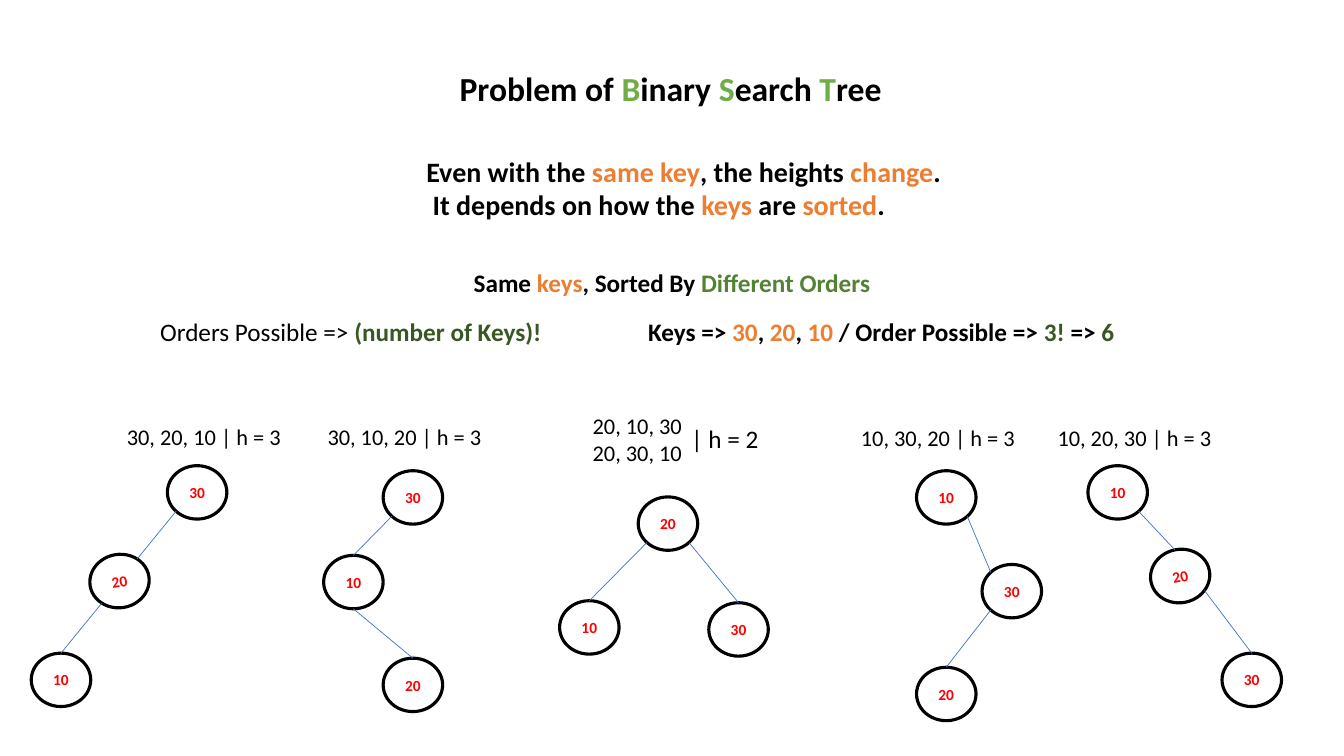
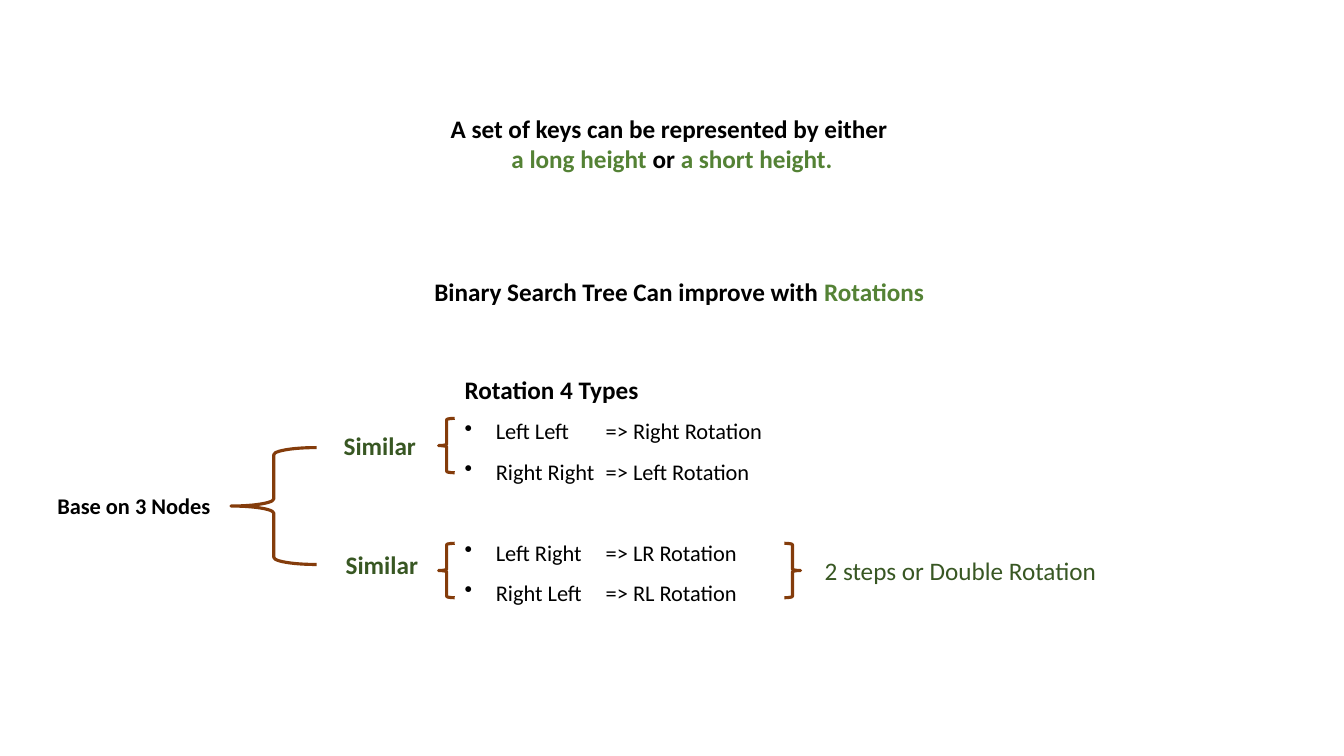
import math
import lxml.etree
import pptx
import pptx.dml.color
import pptx.enum.shapes
import pptx.enum.text
import pptx.oxml.ns
import pptx.util

Inches = pptx.util.Inches
Pt = pptx.util.Pt
Shape = pptx.enum.shapes.MSO_SHAPE
Align = pptx.enum.text.PP_ALIGN
qn = pptx.oxml.ns.qn

COLORS = {"black": "000000", "white": "FFFFFF", "red": "FF0000",
          "blue": "4472C4", "orange": "ED7D31", "brown": "843C0B",
          "lime": "70AD47", "green": "548235", "dark": "385723"}
FACE = "Calibri"
NODE_W, NODE_H = 0.59, 0.53
PORTS = {"n": -90, "ne": -45, "se": 45, "s": 90, "sw": 135, "nw": -135}


def tint(name):
    return pptx.dml.color.RGBColor.from_string(COLORS[name])


def apply(target, values):
    for name, value in values.items():
        setattr(target, name, value)


def port(node, side):
    key, left, top, turn = node
    theta, tilt = math.radians(PORTS[side]), math.radians(turn)
    dx, dy = NODE_W / 2 * math.cos(theta), NODE_H / 2 * math.sin(theta)
    return (left + NODE_W / 2 + dx * math.cos(tilt) - dy * math.sin(tilt),
            top + NODE_H / 2 + dx * math.sin(tilt) + dy * math.cos(tilt))


class Deck:
    def __init__(self):
        self.show = pptx.Presentation()
        apply(self.show, {"slide_width": Inches(13.33), "slide_height": Inches(7.5)})
        self.slide = None

    def page(self):
        self.slide = self.show.slides.add_slide(self.show.slide_layouts[6])

    def runs(self, para, parts, size, bold):
        for part in parts:
            text, color, weight = part if len(part) == 3 else (*part, bold)
            run = para.add_run()
            run.text = text
            apply(run.font, {"name": FACE, "size": Pt(size), "bold": weight})
            run.font.color.rgb = tint(color)

    def text(self, box, lines, size, bold=False, wrap=False, style=None):
        frame = self.slide.shapes.add_textbox(*map(Inches, box)).text_frame
        apply(frame, {"word_wrap": wrap,
                      "auto_size": pptx.enum.text.MSO_AUTO_SIZE.SHAPE_TO_FIT_TEXT})
        for i, parts in enumerate(lines):
            para = frame.add_paragraph() if i else frame.paragraphs[0]
            apply(para, style or {})
            self.runs(para, parts, size, bold)
        return frame

    def bullet(self, para, indent, stop):
        props = para._p.get_or_add_pPr()
        props.set("marL", str(Inches(indent)))
        props.set("indent", str(-Inches(indent)))
        lxml.etree.SubElement(props, qn("a:buChar")).set("char", "•")
        tabs = lxml.etree.SubElement(props, qn("a:tabLst"))
        tab = lxml.etree.SubElement(tabs, qn("a:tab"))
        tab.set("pos", str(Inches(stop)))
        tab.set("algn", "l")

    def shape(self, kind, box, line, fill=None, turn=0):
        item = self.slide.shapes.add_shape(kind, *map(Inches, box))
        item.shadow.inherit = False
        item.rotation = turn
        if fill:
            item.fill.solid()
            item.fill.fore_color.rgb = tint(fill)
        else:
            item.fill.background()
        item.line.color.rgb = tint(line)
        item.line.width = Pt(2.25)
        return item

    def node(self, key, left, top, turn):
        item = self.shape(Shape.OVAL, (left, top, NODE_W, NODE_H), "black", "white", turn)
        item.text_frame.vertical_anchor = pptx.enum.text.MSO_ANCHOR.MIDDLE
        para = item.text_frame.paragraphs[0]
        para.alignment = Align.CENTER
        self.runs(para, [(str(key), "red")], 11, True)

    def edge(self, start, end):
        line = self.slide.shapes.add_connector(
            pptx.enum.shapes.MSO_CONNECTOR.STRAIGHT, *map(Inches, start + end))
        line.line.color.rgb = tint("blue")
        line.line.width = Pt(0.5)
        lxml.etree.SubElement(line._element.spPr, qn("a:effectLst"))

    def tree(self, nodes, edges):
        for node in nodes:
            self.node(*node)
        for a, out, b, into in edges:
            self.edge(port(nodes[a], out), port(nodes[b], into))

    def brace(self, box, turn=0):
        self.shape(Shape.RIGHT_BRACE, box, "brown", turn=turn)


TREES = [
    ([(30, 1.66, 4.62, 0), (20, 0.89, 5.5, -9.4), (10, 0.31, 6.48, 0)],
     [(0, "sw", 1, "ne"), (1, "sw", 2, "n")]),
    ([(30, 3.8, 4.67, 0), (10, 3.21, 5.51, 0), (20, 3.8, 6.53, 0)],
     [(0, "sw", 1, "n"), (1, "s", 2, "n")]),
    ([(20, 6.33, 4.93, 0), (10, 5.55, 5.96, 0), (30, 7.03, 5.98, 0)],
     [(0, "sw", 1, "n"), (0, "se", 2, "n")]),
    ([(10, 9.09, 4.67, 0), (30, 9.74, 5.6, 0), (20, 9.09, 6.62, 0)],
     [(0, "se", 1, "nw"), (1, "sw", 2, "n")]),
    ([(10, 10.79, 4.62, 0), (20, 11.41, 5.45, -11.3), (30, 12.12, 6.48, 0)],
     [(0, "se", 1, "n"), (1, "se", 2, "n")]),
]
LABELS = [(1.16, 4.15, "30, 20, 10"), (3.15, 4.15, "30, 10, 20"),
          (8.44, 4.16, "10, 30, 20"), (10.39, 4.16, "10, 20, 30")]
TURNS = [("Left Left", "Right Rotation"), ("Right Right", "Left Rotation"),
         ("Left Right", "LR Rotation"), ("Right Left", "RL Rotation")]

deck = Deck()

deck.page()
deck.text((4.13, 1.48, 6.67, 0.77), [
    [("Even with the ", "black"), ("same key", "orange"),
     (", the heights ", "black"), ("change", "orange"), (".", "black")],
    [(" It depends on how the ", "black"), ("keys", "orange"),
     (" are ", "black"), ("sorted", "orange"), (".", "black")]], 20, True, True)
deck.text((4.46, 0.62, 4.41, 0.5), [
    [("Problem of ", "black"), ("B", "lime"), ("inary ", "black"), ("S", "lime"),
     ("earch ", "black"), ("T", "lime"), ("ree", "black")]], 24, True)
deck.text((1.49, 3.09, 3.99, 0.4), [
    [("Orders Possible => ", "black"), ("(number of Keys)!", "dark", True)]], 18)
deck.text((6.33, 3.09, 4.93, 0.4), [
    [("Keys => ", "black"), ("30", "orange"), (", ", "black"), ("20", "orange"),
     (", ", "black"), ("10", "orange"), (" / Order Possible => ", "black"),
     ("3!", "dark"), (" => ", "black"), ("6", "dark")]], 18, True)
for nodes, edges in TREES:
    deck.tree(nodes, edges)
for left, top, keys in LABELS:
    deck.text((left, top, 1.75, 0.37), [[(keys + " | h = 3", "black")]], 16)
deck.text((5.78, 4.04, 1.1, 0.64),
          [[("20, 10, 30", "black")], [("20, 30, 10", "black")]], 16)
deck.text((6.7, 4.15, 0.94, 0.4), [[(" | h = 2", "black")]], 18)
deck.text((4.6, 2.6, 6.67, 0.4), [
    [("Same ", "black"), ("keys", "orange"), (", Sorted By ", "black"),
     ("Different Orders", "green")]], 18, True, True)

deck.page()
deck.text((3.33, 1.07, 6.67, 0.71), [
    [("A set of keys can be represented by either ", "black")],
    [("a long height ", "green"), ("or ", "black"), ("a short height.", "green")]],
    18, True, True, {"alignment": Align.CENTER})
deck.text((4.21, 2.69, 5.1, 0.4), [
    [("Binary Search Tree Can improve with ", "black"), ("Rotations", "green")]], 18, True)
types = deck.text((4.51, 3.51, 3.6, 2.53), [[("Rotation 4 Types", "black")]],
                  18, True, True, {"line_spacing": 1.5})
for i, (case, fix) in enumerate(TURNS):
    para = types.add_paragraph()
    apply(para, {"line_spacing": 1.5, "space_before": Pt(29 if i == 2 else 0)})
    deck.runs(para, [(f"{case}\t=> {fix}", "black")], 16, False)
    deck.bullet(para, 0.31, 1.4)
deck.text((8.08, 5.46, 2.93, 0.4), [[("2 steps or Double Rotation", "dark")]], 18)
for left, top, turn in [(4.35, 5.39, 180), (7.78, 5.39, 0), (4.35, 4.15, 180)]:
    deck.brace((left, top, 0.16, 0.54), turn)
for left, top in [(3.31, 4.22), (3.33, 5.4)]:
    deck.text((left, top, 0.98, 0.4), [[("Similar ", "dark")]], 18, True)
deck.text((0.47, 4.83, 1.74, 0.37), [[("Base on 3 Nodes", "black")]], 16, True)
deck.brace((2.29, 4.44, 0.85, 1.16), 180)

deck.show.save("out.pptx")
